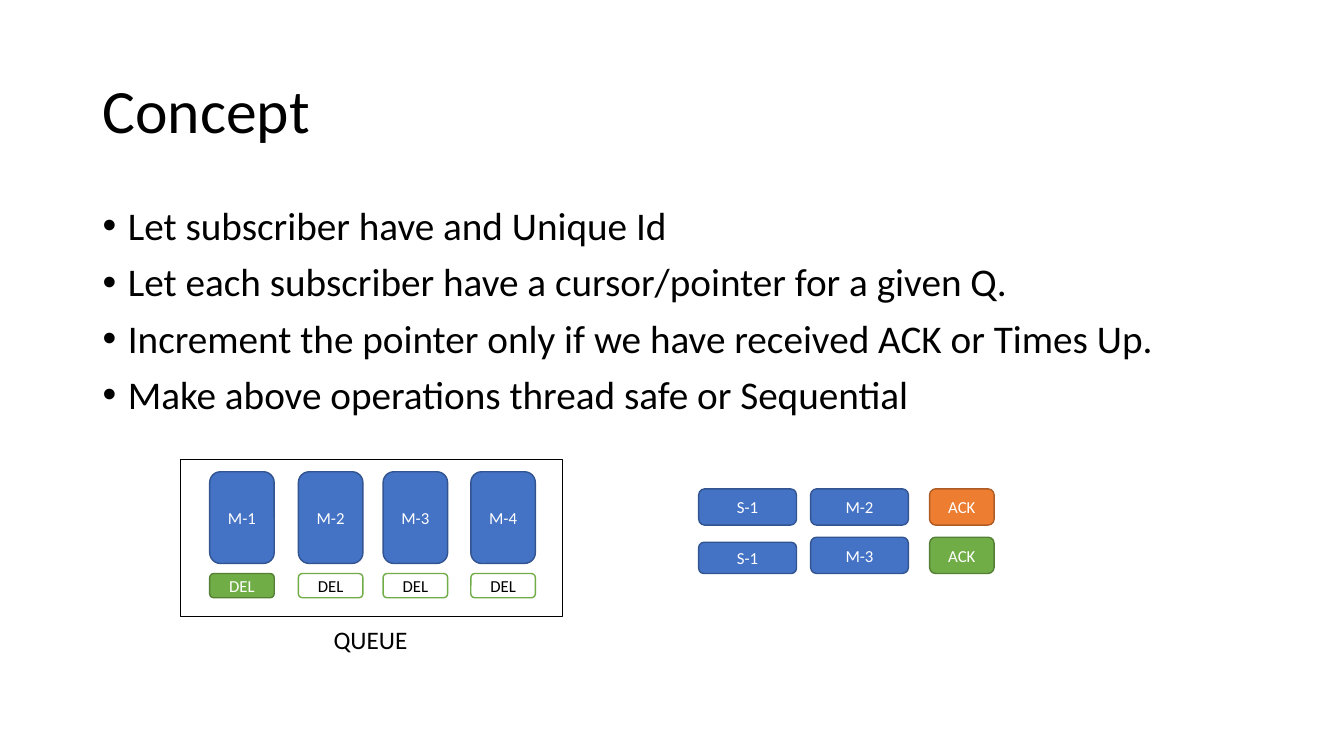
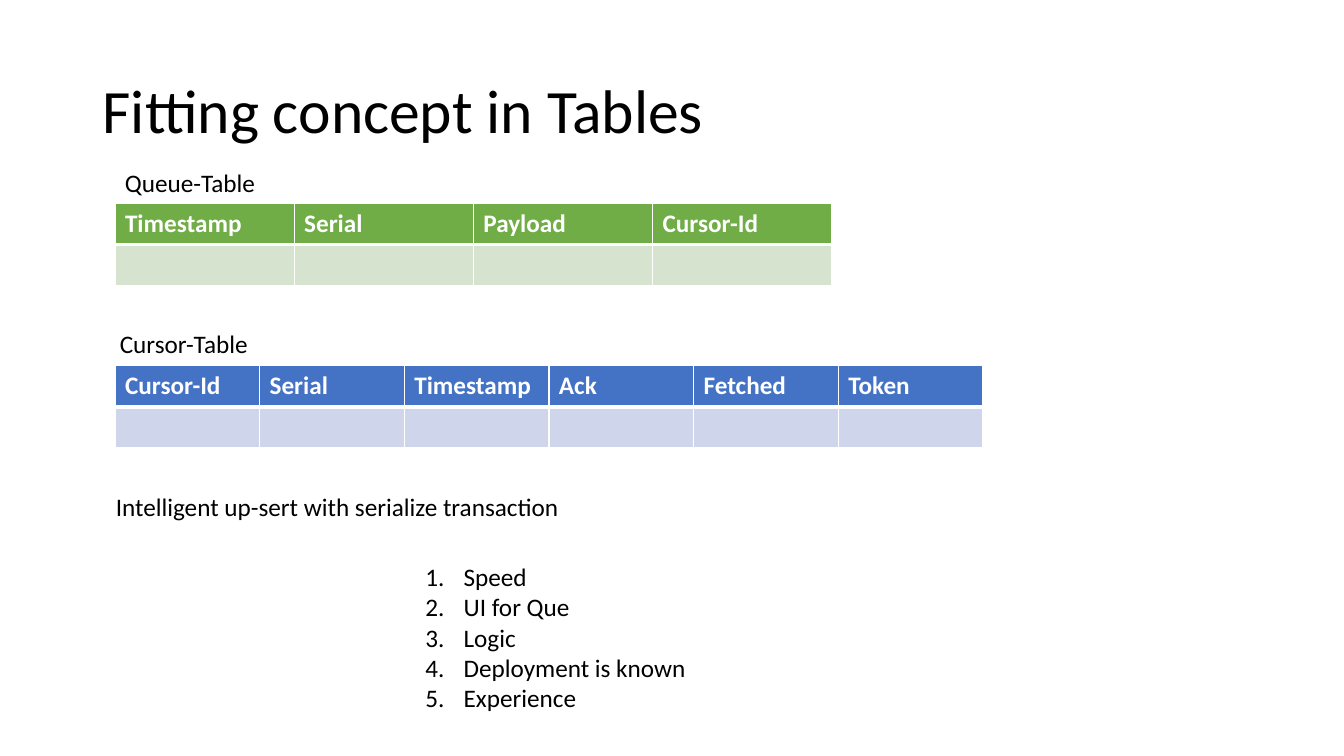
from lxml.etree import SubElement as Sub
from pptx import Presentation
from pptx.dml.color import RGBColor
from pptx.enum.shapes import MSO_SHAPE as Form
from pptx.enum.text import MSO_ANCHOR as Anchor, MSO_AUTO_SIZE as Fit, PP_ALIGN as Align
from pptx.oxml import parse_xml
from pptx.oxml.ns import nsdecls, qn
from pptx.util import Pt

PX = 9144  # one px is a hundredth of an inch
BLACK, WHITE = "000000", "FFFFFF"
BLUE, NAVY, PALE = "4472C4", "325491", "CFD5EA"
GREEN, MOSS, MINT = "70AD47", "538035", "D5E3CF"
ORANGE, RUST = "ED7D31", "AF5C24"


def rgb(code):
    return RGBColor.from_string(code)


def px(*sizes):
    return [size * PX for size in sizes]


def mark(para, bullet, indent):
    """Add a hanging bullet character, or a number if bullet is '1.'."""
    props = para._p.get_or_add_pPr()
    props.set("marL", str(indent * PX))
    props.set("indent", str(-indent * PX))
    if bullet == "1.":
        Sub(props, qn("a:buAutoNum"), type="arabicPeriod")
    else:
        Sub(props, qn("a:buFont"), typeface="Arial")
        Sub(props, qn("a:buChar"), char=bullet)


def write(frame, text, size=18, color=BLACK, bold=False, align=Align.LEFT,
          space=None, before=None, bullet=None, indent=0):
    """Write one paragraph for each line of text."""
    for i, line in enumerate(text.split("\n")):
        para = frame.add_paragraph() if i else frame.paragraphs[0]
        para.alignment = align
        if space:
            para.line_spacing = space
        if before:
            para.space_before = Pt(before)
        if bullet:
            mark(para, bullet, indent)
        run = para.add_run()
        run.text = line
        font = run.font
        font.name, font.size, font.bold = "Calibri", Pt(size), bold
        font.color.rgb = rgb(color)


def edge(cell, **widths):
    """Draw white cell borders; widths are in points."""
    props = cell._tc.get_or_add_tcPr()
    for i, side in enumerate("LRTB"):
        width = Pt(widths.get(side, 1))
        props.insert(i, parse_xml(
            f'<a:ln{side} {nsdecls("a")} w="{width}"><a:solidFill>'
            f'<a:srgbClr val="{WHITE}"/></a:solidFill></a:ln{side}>'))


class Deck:
    def __init__(self):
        self.file = Presentation()
        self.file.slide_width, self.file.slide_height = px(1333, 750)

    def page(self, title):
        blank = self.file.slide_layouts[6]
        self.slide = self.file.slides.add_slide(blank)
        self.text(title, 92, 40, 1150, 145, anchor=Anchor.MIDDLE,
                  size=44, space=0.9)

    def text(self, text, x, y, w, h, wrap=True, anchor=Anchor.TOP, **style):
        frame = self.slide.shapes.add_textbox(*px(x, y, w, h)).text_frame
        frame.word_wrap = wrap
        frame.auto_size = Fit.NONE if wrap else Fit.SHAPE_TO_FIT_TEXT
        frame.vertical_anchor = anchor
        write(frame, text, **style)

    def note(self, text, x, y, w, h=40, **style):
        self.text(text, x, y, w, h, wrap=False, **style)

    def box(self, x, y, w, h, text="", fill=BLUE, line=NAVY, color=WHITE,
            form=Form.ROUNDED_RECTANGLE, weight=1):
        shape = self.slide.shapes.add_shape(form, *px(x, y, w, h))
        shape.shadow.inherit = False
        if fill:
            shape.fill.solid()
            shape.fill.fore_color.rgb = rgb(fill)
        else:
            shape.fill.background()
        shape.line.color.rgb = rgb(line)
        shape.line.width = Pt(weight)
        if text:
            shape.text_frame.vertical_anchor = Anchor.MIDDLE
            write(shape.text_frame, text, size=12, color=color,
                  align=Align.CENTER)

    def table(self, heads, x, y, w, h, dark, light):
        grid = self.slide.shapes.add_table(
            2, len(heads), *px(x, y, w, h)).table
        grid.horz_banding = False
        for col, head in enumerate(heads):
            top, low = grid.cell(0, col), grid.cell(1, col)
            for cell, fill in ((top, dark), (low, light)):
                cell.fill.solid()
                cell.fill.fore_color.rgb = rgb(fill)
            edge(top, B=3)
            edge(low, T=3)
            write(top.text_frame, head, color=WHITE, bold=True)


def concept(deck):
    deck.page("Concept")
    deck.text("Let subscriber have and Unique Id\n"
              "Let each subscriber have a cursor/pointer for a given Q.\n"
              "Increment the pointer only if we have received ACK or Times Up.\n"
              "Make above operations thread safe or Sequential",
              92, 200, 1150, 221, size=28, space=0.9, before=10,
              bullet="•", indent=25)

    # Queue: messages, each with its delete flag
    done = dict(fill=GREEN, line=MOSS)
    wait = dict(fill=WHITE, line=GREEN, color=BLACK)
    for i, x in enumerate((208, 296, 380, 467)):
        deck.box(x, 468, 64, 91, f"M-{i + 1}")
        deck.box(x, 569, 64, 24, "DEL", **(wait if i else done))
    deck.box(179, 456, 379, 156, fill=None, line=BLACK,
             form=Form.RECTANGLE, weight=0.75)
    deck.note("QUEUE", 321, 614, 94)

    # Subscribers: current message and its acknowledgement
    rows = ((485, 485, 36, "M-2", ORANGE, RUST),
            (533, 538, 31, "M-3", GREEN, MOSS))
    for y, top, high, name, fill, line in rows:
        deck.box(693, top, 97, high, "S-1")
        deck.box(804, y, 97, 36, name)
        deck.box(922, y, 64, 36, "ACK", fill=fill, line=line)


def tables(deck):
    deck.page("Fitting concept in Tables")

    # Tables with their captions
    deck.note("Queue-Table", 114, 161, 151)
    deck.table(("Timestamp", "Serial", "Payload", "Cursor-Id"),
               114, 202, 711, 81, GREEN, MINT)
    deck.note("Cursor-Table", 109, 321, 148)
    deck.table(("Cursor-Id", "Serial", "Timestamp", "Ack", "Fetched", "Token"),
               114, 363, 861, 81, BLUE, PALE)

    # Remarks
    deck.note("Intelligent up-sert with serialize transaction", 105, 483, 464)
    deck.note("Speed\nUI for Que\nLogic\nDeployment is known\nExperience",
              412, 552, 281, 162, bullet="1.", indent=38)


def main():
    deck = Deck()
    concept(deck)
    tables(deck)
    deck.file.save("out.pptx")


if __name__ == "__main__":
    main()
